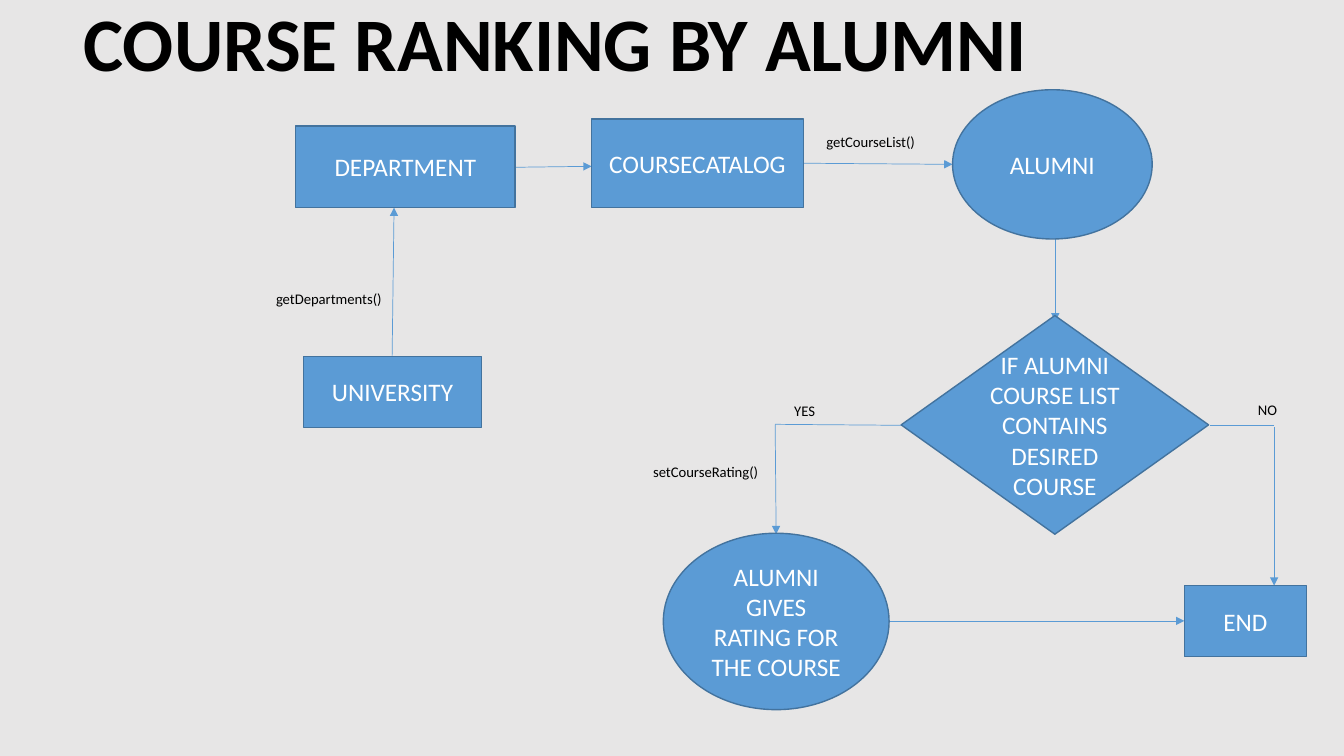
from pptx import Presentation
from pptx import util as u
from pptx.dml import color as c
from pptx.enum import shapes as s, text as t
from pptx.oxml import ns, xmlchemy as x

BLUE = c.RGBColor(0x5B, 0x9B, 0xD5)
EDGE = c.RGBColor(0x43, 0x73, 0x9E)
GRAY = c.RGBColor(0xE7, 0xE6, 0xE6)
BLACK = c.RGBColor(0, 0, 0)
WHITE = c.RGBColor(0xFF, 0xFF, 0xFF)

RECT = s.MSO_SHAPE.RECTANGLE
OVAL = s.MSO_SHAPE.OVAL
CHOICE = s.MSO_SHAPE.FLOWCHART_DECISION

NODES = [
    (OVAL, "ALUMNI", 680.4, 64.1, 142.6, 106.6),
    (RECT, "COURSECATALOG", 422.6, 85, 151.2, 63.4),
    (RECT, "UNIVERSITY", 216.7, 254.5, 127.4, 50.8),
    (RECT, "DEPARTMENT", 211, 90, 157, 58.3),
    (CHOICE, "IF ALUMNI COURSE LIST CONTAINS DESIRED COURSE", 643.7, 225.4, 219.6, 156.2),
    (OVAL, "ALUMNI GIVES RATING FOR THE COURSE", 473.8, 380.9, 161.3, 126),
    (RECT, "END", 846, 418.3, 87.1, 50.8),
]

LINKS = [
    (368, 119.5, 422.6, 118.8, True),
    (753.8, 170.6, 753.8, 229.7, True),
    (643.7, 303.8, 553.7, 303.1, False),
    (553.7, 303.1, 554.4, 381.6, True),
    (910.1, 303.8, 864, 303.8, False),
    (910.1, 305.3, 910.1, 418.3, True),
    (635, 443.5, 846, 443.5, True),
    (280.1, 254.2, 281.5, 148.3, True),
    (573.8, 116.6, 680.4, 117.4, True),
]

LABELS = [
    ("getDepartments()", 190.1, 203.8, 98.6),
    ("setCourseRating()", 459.4, 326.9, 98.6),
    ("YES", 560.2, 283.7, 37.4),
    ("NO", 891.4, 283, 37.4),
    ("getCourseList()", 583.2, 91.4, 98.6),
]


def write(frame, words, size, color, align, bold=False):
    """Put one formatted run into a text frame."""
    frame.word_wrap = True
    para = frame.paragraphs[0]
    para.alignment = align
    run = para.add_run()
    run.text = words
    font = run.font
    font.name, font.size, font.bold = "Calibri", u.Pt(size), bold
    font.color.rgb = color


def title(slide, words):
    """Move and fill the title placeholder."""
    head = slide.shapes.title
    head.left, head.top = u.Pt(15.1), u.Pt(-6.5)
    head.width, head.height = u.Pt(763.2), u.Pt(72.7)
    frame = head.text_frame
    frame.auto_size = t.MSO_AUTO_SIZE.NONE
    frame.vertical_anchor = t.MSO_ANCHOR.TOP
    write(frame, words, 54, BLACK, t.PP_ALIGN.CENTER, True)


def node(slide, kind, words, *box):
    """Draw a filled flowchart step with centred text."""
    shape = slide.shapes.add_shape(kind, *map(u.Pt, box))
    shape.shadow.inherit = False
    shape.fill.solid()
    shape.fill.fore_color.rgb = BLUE
    shape.line.color.rgb = EDGE
    shape.line.width = u.Pt(1)
    shape.text_frame.vertical_anchor = t.MSO_ANCHOR.MIDDLE
    write(shape.text_frame, words, 18, WHITE, t.PP_ALIGN.CENTER)


def link(slide, *ends, arrow):
    """Draw a thin straight line, with an arrowhead if asked."""
    line = slide.shapes.add_connector(s.MSO_CONNECTOR.STRAIGHT, *map(u.Pt, ends))
    line.line.color.rgb = BLUE
    line.line.width = u.Pt(0.5)
    if arrow:
        tail = x.OxmlElement("a:tailEnd")
        tail.set("type", "triangle")
        line.line._get_or_add_ln().append(tail)
    props = line._element.find(ns.qn("p:spPr"))
    props.append(x.OxmlElement("a:effectLst"))


def label(slide, words, left, top, width):
    """Add a small caption beside a link."""
    box = slide.shapes.add_textbox(u.Pt(left), u.Pt(top), u.Pt(width), u.Pt(20.2))
    write(box.text_frame, words, 10.5, BLACK, t.PP_ALIGN.LEFT)


def main():
    """Build and save the course ranking flowchart."""
    deck = Presentation()
    deck.slide_width, deck.slide_height = u.Pt(960), u.Pt(540)
    slide = deck.slides.add_slide(deck.slide_layouts[5])
    slide.background.fill.solid()
    slide.background.fill.fore_color.rgb = GRAY
    title(slide, "COURSE RANKING BY ALUMNI")
    for *ends, arrow in LINKS:
        link(slide, *ends, arrow=arrow)
    for item in NODES:
        node(slide, *item)
    for item in LABELS:
        label(slide, *item)
    deck.save("out.pptx")


if __name__ == "__main__":
    main()
